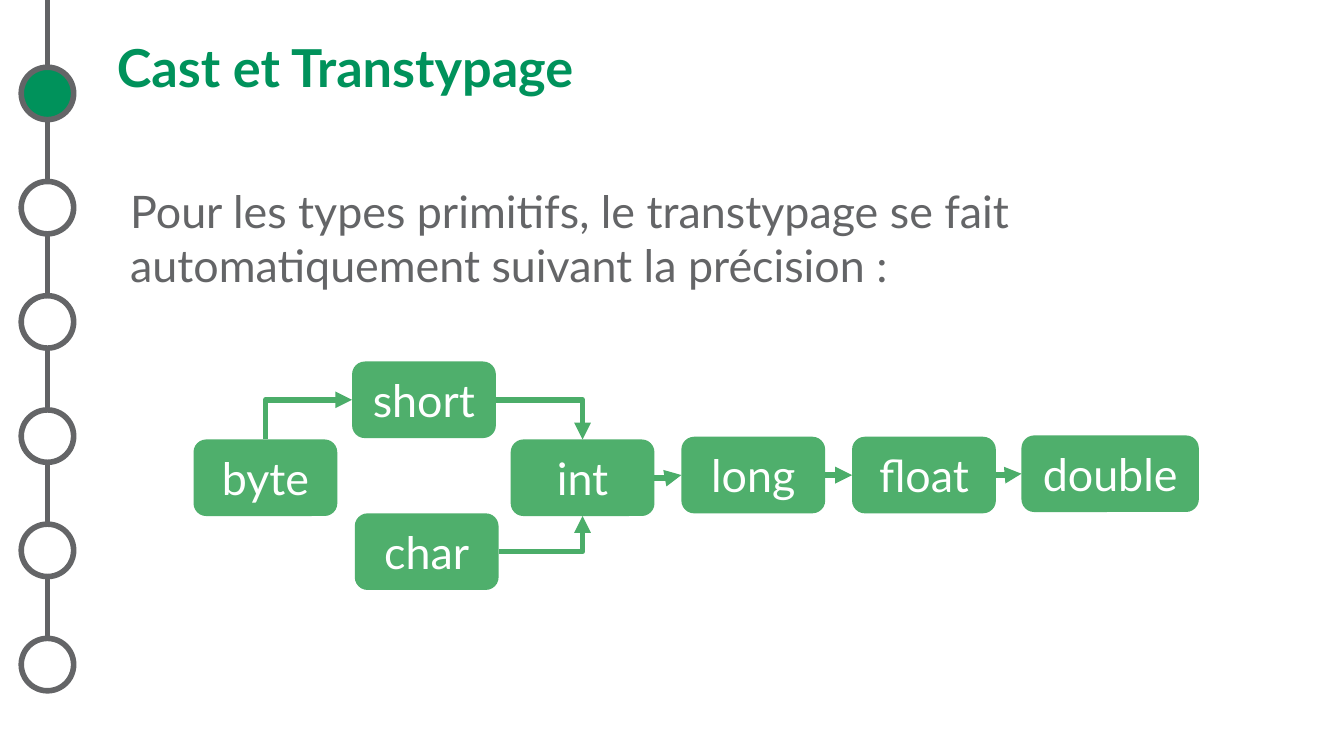
from dataclasses import dataclass

from lxml import etree
from pptx import Presentation
from pptx import util as u
from pptx.dml.color import RGBColor
from pptx.enum import shapes, text
from pptx.oxml import ns


@dataclass(frozen=True)
class Theme:
    font: str = "Lato"
    title_size: int = 28
    body_size: int = 24
    line_width: int = 3
    accent: RGBColor = RGBColor.from_string("00925B")
    grey: RGBColor = RGBColor.from_string("646567")
    track: RGBColor = RGBColor.from_string("626365")
    box: RGBColor = RGBColor.from_string("4FAF6C")
    arrow: RGBColor = RGBColor.from_string("4BAD69")
    white: RGBColor = RGBColor.from_string("FFFFFF")


theme = Theme()

presentation = Presentation()
presentation.slide_width = u.Inches(10)
presentation.slide_height = presentation.slide_width * 9 // 16
CELL = presentation.slide_width / 100  # square grid, 100 columns wide


def grid(*cells):
    return [u.Emu(round(cell * CELL)) for cell in cells]


def write(shape, words, size, color, inset, bold=False, **alignment):
    """Fill a shape with one styled paragraph; the inset is in grid cells."""
    frame = shape.text_frame
    frame.text = words
    margin_x, margin_y = grid(*inset)
    frame_format = {
        "word_wrap": True,
        "auto_size": text.MSO_AUTO_SIZE.NONE,
        "vertical_anchor": alignment.get("anchor", text.MSO_ANCHOR.MIDDLE),
        "margin_left": margin_x, "margin_right": margin_x,
        "margin_top": margin_y, "margin_bottom": margin_y,
    }
    for name, value in frame_format.items():
        setattr(frame, name, value)
    paragraph = frame.paragraphs[0]
    paragraph.alignment = alignment.get("align", text.PP_ALIGN.LEFT)
    font = paragraph.runs[0].font
    font_format = {"name": theme.font, "size": u.Pt(size), "bold": bold}
    for name, value in font_format.items():
        setattr(font, name, value)
    font.color.rgb = color


slide = presentation.slides.add_slide(presentation.slide_layouts[5])

# Title and introduction
title = slide.shapes.title
title.left, title.top, title.width, title.height = grid(8.7, 2, 87.6, 5.9)
write(title, "Cast et Transtypage", theme.title_size, theme.accent, (0, 0), bold=True)

introduction = slide.shapes.add_textbox(*grid(8.7, 13.2, 89.8, 38.9))
write(introduction,
      "Pour les types primitifs, le transtypage se fait "
      "automatiquement suivant la précision :",
      theme.body_size, theme.grey, (1, 0.5), anchor=text.MSO_ANCHOR.TOP)

# Progress rail: six steps, the first one reached
rail = slide.shapes.add_group_shape()
track = rail.shapes.add_connector(
    shapes.MSO_CONNECTOR.STRAIGHT, *grid(3.53, 0, 3.53, 50.2))
track.line.color.rgb = theme.track
track.line.width = u.Pt(theme.line_width)
etree.SubElement(track._element.spPr, ns.qn("a:effectLst"))
for step in range(6):
    circle = rail.shapes.add_shape(
        shapes.MSO_SHAPE.OVAL, *grid(1.58, 5 + 8.5 * step, 3.9, 3.9))
    circle.shadow.inherit = False
    circle.fill.solid()
    circle.fill.fore_color.rgb = theme.accent if step == 0 else theme.white
    circle.line.color.rgb = theme.grey
    circle.line.width = u.Pt(theme.line_width)

# Primitive types: left column, top row, width in columns
types = {
    "byte": (14.4, 32.7, 10.7),
    "short": (26.2, 26.9, 10.7),
    "int": (38, 32.7, 10.7),
    "long": (50.7, 32.5, 10.7),
    "float": (63.4, 32.5, 10.7),
    "double": (76, 32.4, 13.2),
    "char": (26.4, 38.2, 10.7),
}
boxes = {}
for name, (left, top, width) in types.items():
    box = slide.shapes.add_shape(
        shapes.MSO_SHAPE.ROUNDED_RECTANGLE, *grid(left, top, width, 5.7))
    box.shadow.inherit = False
    box.fill.solid()
    box.fill.fore_color.rgb = theme.box
    box.line.fill.background()
    write(box, name, theme.body_size, theme.white, (1, 1), align=text.PP_ALIGN.CENTER)
    boxes[name] = box

# Widening conversions, glued to the sides of the boxes
TOP, LEFT, BOTTOM, RIGHT = range(4)
conversions = [
    ("byte", TOP, "short", LEFT),
    ("char", RIGHT, "int", BOTTOM),
    ("short", RIGHT, "int", TOP),
    ("int", RIGHT, "long", LEFT),
    ("long", RIGHT, "float", LEFT),
    ("float", RIGHT, "double", LEFT),
]
for source, source_side, target, target_side in conversions:
    arrow = slide.shapes.add_connector(shapes.MSO_CONNECTOR.ELBOW, 0, 0, 0, 0)
    arrow.begin_connect(boxes[source], source_side)
    arrow.end_connect(boxes[target], target_side)
    arrow.line.color.rgb = theme.arrow
    arrow.line.width = u.Pt(theme.line_width)
    properties = arrow._element.spPr
    etree.SubElement(properties.find(ns.qn("a:ln")), ns.qn("a:tailEnd"), type="triangle")
    etree.SubElement(properties, ns.qn("a:effectLst"))
    if (source_side, target_side) != (RIGHT, LEFT):
        properties.find(ns.qn("a:prstGeom")).set("prst", "bentConnector2")
    if source_side == TOP:  # a quarter turn makes the arrow leave upwards
        width, height = arrow.width, arrow.height
        arrow.left += (width - height) // 2
        arrow.top += (height - width) // 2
        arrow.width, arrow.height = height, width
        for name, value in {"rot": "5400000", "flipH": "1", "flipV": "1"}.items():
            properties.find(ns.qn("a:xfrm")).set(name, value)

presentation.save("out.pptx")
